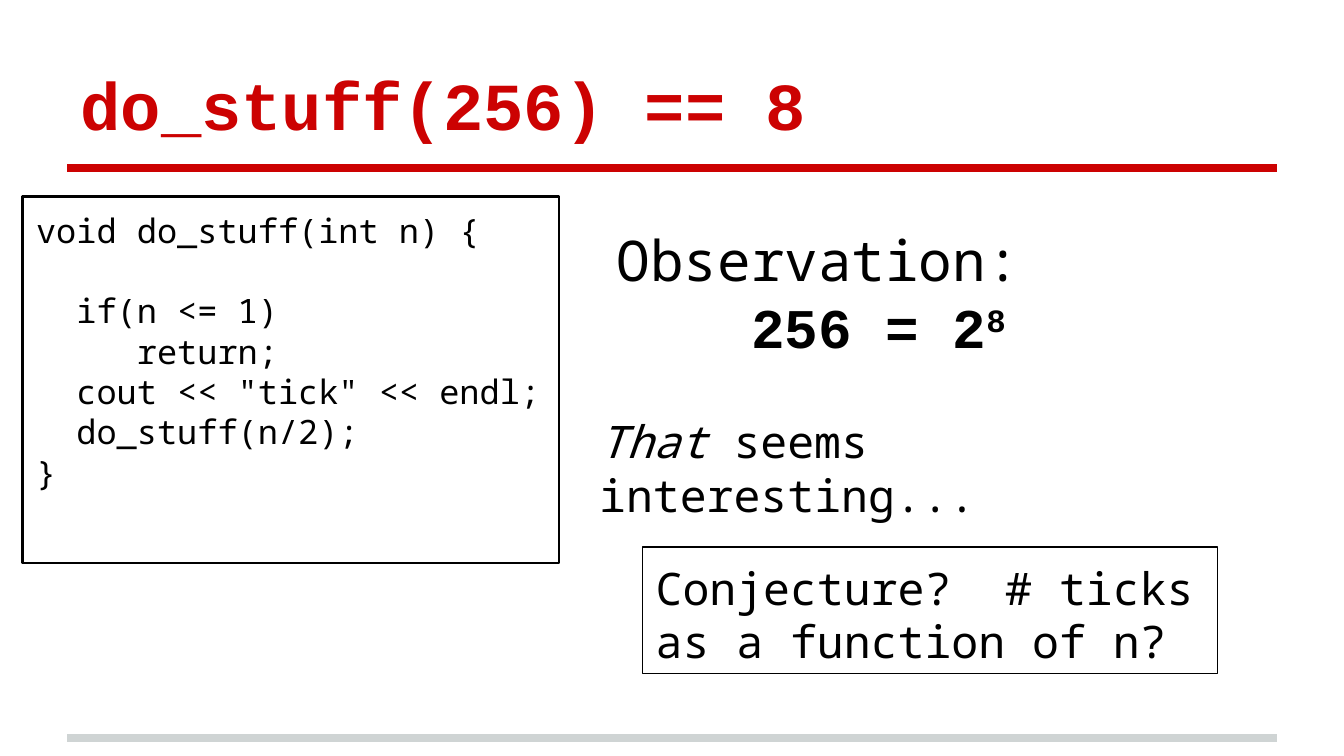
from dataclasses import dataclass

from lxml import etree
from pptx import Presentation
from pptx import util as u
from pptx.dml.color import RGBColor
from pptx.enum import shapes, text
from pptx.oxml.ns import qn


@dataclass(frozen=True)
class Theme:
    """Colours, fonts and type sizes of the deck."""
    ink: str = "000000"
    red: str = "CC0202"
    grey: str = "CFD4D4"
    mono: str = "Noto Sans Mono"
    bold: str = "Courier New"
    title: int = 36
    lead: int = 30
    body: int = 24
    code: int = 18
    pad: float = 0.1
    advance: float = 0.6  # glyph width of the mono fonts, in ems
    leading: float = 1.2  # line height, in ems


WIDE = 10
HIGH = WIDE * 9 / 16
LEFT, RIGHT = 0.5, 9.5


def write(para, words, font, size, color, bold=False, italic=False, raised=0):
    """Add one formatted run to a paragraph."""
    run = para.add_run()
    run.text = words
    style = run.font
    style.name, style.size = font, u.Pt(size)
    style.bold, style.italic = bold, italic
    style.color.rgb = RGBColor.from_string(color)
    if raised:
        run._r.get_or_add_rPr().set("baseline", str(raised * 1000))


class Page:
    """The current slide together with its style."""

    def __init__(self, deck, theme):
        """Add a blank slide to the deck."""
        self.theme = theme
        self.slide = deck.slides.add_slide(deck.slide_layouts[6])

    def rule(self, y, color):
        """Draw a thick line from margin to margin."""
        ends = [u.Inches(v) for v in (LEFT, y, RIGHT, y)]
        line = self.slide.shapes.add_connector(shapes.MSO_CONNECTOR.STRAIGHT, *ends)
        line.line.color.rgb = RGBColor.from_string(color)
        line.line.width = u.Pt(4)
        etree.SubElement(line._element.spPr, qn("a:effectLst"))

    def box(self, area, border=0, anchor=text.MSO_ANCHOR.TOP):
        """Add a text area, framed if a border is given; return its frame."""
        place = [u.Inches(v) for v in area]
        if border:
            shape = self.slide.shapes.add_shape(shapes.MSO_SHAPE.RECTANGLE, *place)
            shape.shadow.inherit = False
            shape.fill.background()
            shape.line.color.rgb = RGBColor.from_string(self.theme.ink)
            shape.line.width = u.Pt(border)
        else:
            shape = self.slide.shapes.add_textbox(*place)
        frame = shape.text_frame
        frame.word_wrap = True
        frame.vertical_anchor = anchor
        pad = u.Inches(self.theme.pad)
        frame.margin_left = frame.margin_right = pad
        frame.margin_top = frame.margin_bottom = pad
        return frame

    def fill(self, frame, lines, size):
        """Write lines of (indent in letters, lines skipped before, runs)."""
        look = self.theme
        for i, (indent, skip, runs) in enumerate(lines):
            para = frame.add_paragraph() if i else frame.paragraphs[0]
            para.alignment = text.PP_ALIGN.LEFT
            if indent:
                props = para._p.get_or_add_pPr()
                props.set("marL", str(u.Pt(indent * size * look.advance)))
                props.set("indent", "0")
            if skip:
                para.space_before = u.Pt(skip * size * look.leading)
            for words, form in runs:
                base = dict(font=look.mono, size=size, color=look.ink)
                write(para, words, **{**base, **form})


def main():
    """Build the slide and save it."""
    deck = Presentation()
    deck.slide_width, deck.slide_height = u.Inches(WIDE), u.Inches(HIGH)
    look = Theme()
    page = Page(deck, look)
    strong = dict(font=look.bold, bold=True)

    page.rule(5.49, look.grey)
    page.rule(1.25, look.red)

    title = page.box((LEFT, 0.23, RIGHT - LEFT, 0.94), anchor=text.MSO_ANCHOR.BOTTOM)
    head = ("do_stuff(256) == 8", dict(strong, color=look.red))
    page.fill(title, [(0, 0, [head])], look.title)

    code = [
        (0, 0, "void do_stuff(int n) {"),
        (2, 1, "if(n <= 1)"),
        (5, 0, "return;"),
        (2, 0, 'cout << "tick" << endl;'),
        (2, 0, "do_stuff(n/2);"),
        (0, 0, "}"),
    ]
    frame = page.box((0.17, 1.46, 3.99, 2.73), border=1.5)
    page.fill(frame, [(n, skip, [(line, {})]) for n, skip, line in code], look.code)

    remark = [("That", dict(italic=True)), (" seems interesting...", {})]
    page.fill(page.box((4.36, 2.98, 4.8, 0.94)), [(0, 0, remark)], look.body)

    ask = [("Conjecture?  # ticks as a function of n?", {})]
    page.fill(page.box((4.78, 4.07, 4.28, 0.94), border=0.75), [(0, 0, ask)], look.body)

    power = [("256 = 2", strong), ("8", dict(strong, raised=30))]
    lead = page.box((4.49, 1.65, 4.8, 1.06), anchor=text.MSO_ANCHOR.MIDDLE)
    page.fill(lead, [(0, 0, [("Observation:", {})]), (4, 0, power)], look.lead)

    deck.save("out.pptx")


main()
